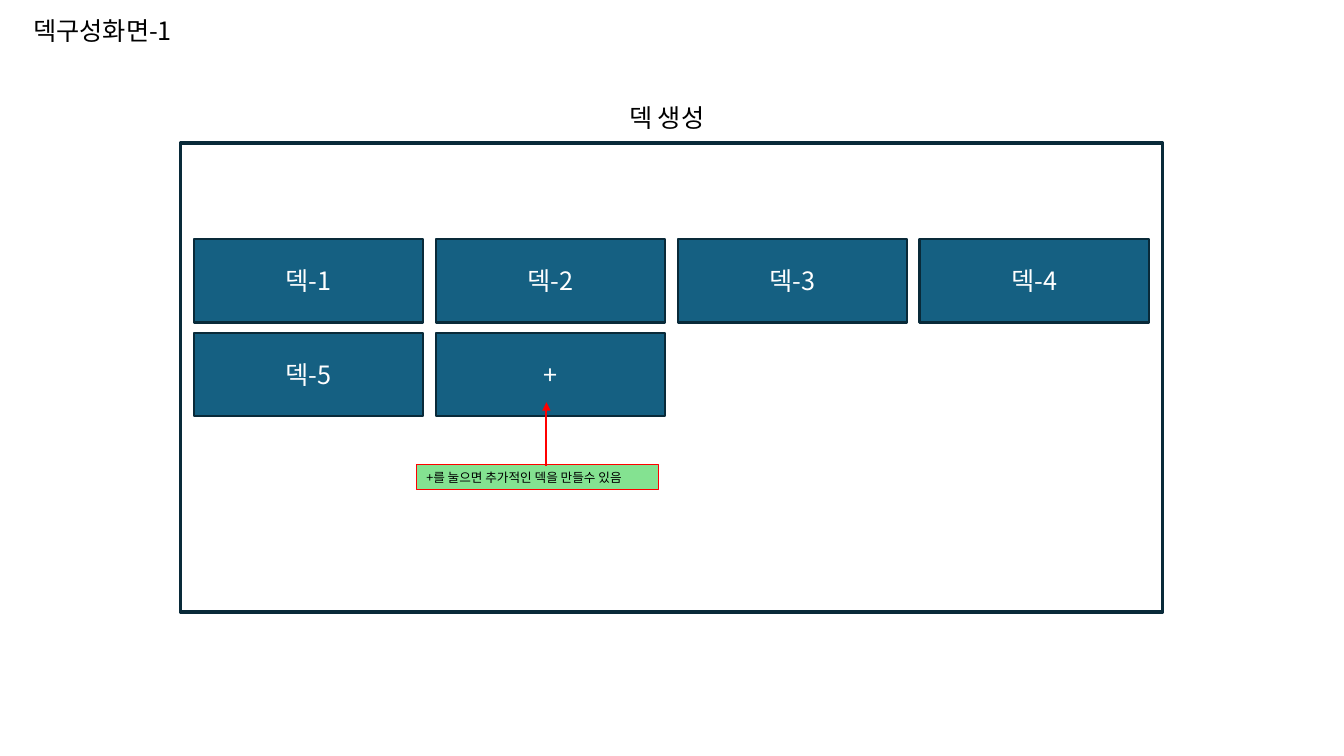
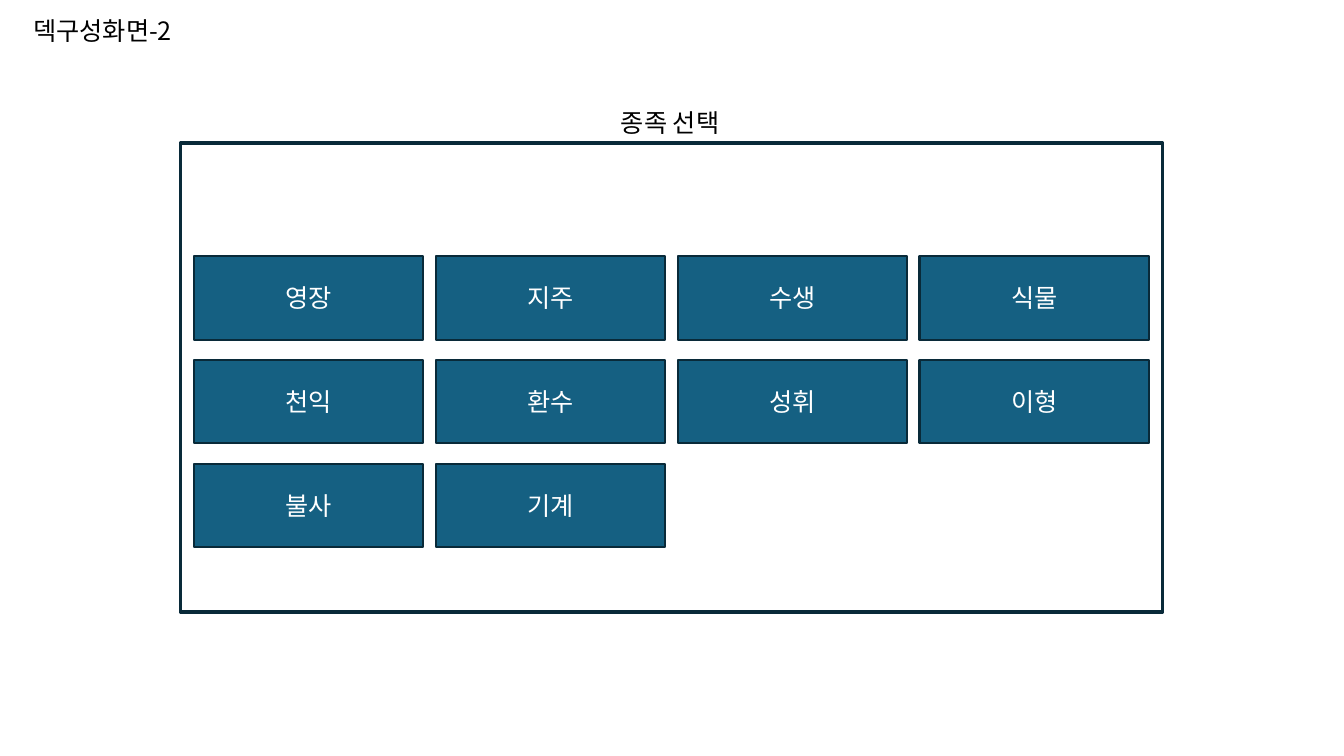
from dataclasses import dataclass

from lxml import etree
from pptx import Presentation
from pptx.dml.color import RGBColor
from pptx.enum.shapes import MSO_CONNECTOR, MSO_SHAPE
from pptx.enum.text import MSO_ANCHOR, MSO_AUTO_SIZE, PP_ALIGN
from pptx.oxml.ns import qn
from pptx.util import Inches, Pt

RECT = MSO_SHAPE.RECTANGLE
STRAIGHT = MSO_CONNECTOR.STRAIGHT
LEFT, CENTER = PP_ALIGN.LEFT, PP_ALIGN.CENTER
TOP, MIDDLE = MSO_ANCHOR.TOP, MSO_ANCHOR.MIDDLE
FIT_SHAPE, NO_FIT = MSO_AUTO_SIZE.SHAPE_TO_FIT_TEXT, MSO_AUTO_SIZE.NONE
TITLE_ONLY = 5


@dataclass(frozen=True)
class Theme:
    font: str = "Noto Sans CJK KR"
    text: str = "000000"
    button: str = "156082"
    button_text: str = "FFFFFF"
    outline: str = "092A39"
    note: str = "84E291"
    accent: str = "FF0000"
    size: float = 18
    note_size: float = 9
    frame_line: float = 2.5
    line: float = 1.5
    note_line: float = 0.75


THEME = Theme()
TITLE_BOX = (0.23, 0.1, 1.71, 0.4)
FRAME_BOX = (1.79, 1.42, 9.74, 4.65)
COLUMNS = 4
GRID_INSET = 0.13
BUTTON_W, BUTTON_H, COLUMN_GAP = 2.28, 0.83, 0.12


def inches(box):
    return [Inches(v) for v in box]


def set_text(shape, text, *, size=THEME.size, color=THEME.text, align=LEFT,
             anchor=TOP, wrap=False, fit=FIT_SHAPE):
    tf = shape.text_frame
    tf.word_wrap = wrap
    tf.auto_size = fit
    tf.vertical_anchor = anchor
    p = tf.paragraphs[0]
    p.alignment = align
    r = p.add_run()
    r.text = text
    r.font.size = Pt(size)
    r.font.name = THEME.font
    r.font.color.rgb = RGBColor.from_string(color)
    ea = etree.SubElement(r.font._element, qn("a:ea"))
    ea.set("typeface", THEME.font)


def add_rect(s, box, *, fill=None, line=THEME.outline, width=THEME.line):
    sp = s.shapes.add_shape(RECT, *inches(box))
    sp.shadow.inherit = False
    if fill:
        sp.fill.solid()
        sp.fill.fore_color.rgb = RGBColor.from_string(fill)
    else:
        sp.fill.background()
    sp.line.color.rgb = RGBColor.from_string(line)
    sp.line.width = Pt(width)
    return sp


def add_arrow(s, start, end):
    arrow = s.shapes.add_connector(STRAIGHT, *inches(start + end))
    arrow.line.color.rgb = RGBColor.from_string(THEME.accent)
    arrow.line.width = Pt(THEME.line)
    tail = etree.SubElement(arrow.line._get_or_add_ln(), qn("a:tailEnd"))
    tail.set("type", "triangle")
    etree.SubElement(arrow._element.spPr, qn("a:effectLst"))


def add_buttons(s, left, top, labels, row_gap):
    """Fill a grid of buttons row by row from its top left corner."""
    for i, label in enumerate(labels):
        row, column = divmod(i, COLUMNS)
        box = (left + column * (BUTTON_W + COLUMN_GAP),
               top + row * (BUTTON_H + row_gap), BUTTON_W, BUTTON_H)
        set_text(add_rect(s, box, fill=THEME.button), label,
                 color=THEME.button_text, align=CENTER, anchor=MIDDLE,
                 wrap=True, fit=NO_FIT)


def add_note(s, box, text, tip):
    """Place a callout whose arrow rises from its top edge to the tip."""
    note = add_rect(s, box, fill=THEME.note, line=THEME.accent,
                    width=THEME.note_line)
    set_text(note, text, size=THEME.note_size)
    add_arrow(s, (tip[0], box[1] + 0.01), tip)


def add_screen(prs, title, heading, heading_box, labels, grid_offset, row_gap):
    """Add a slide with a titled frame holding a grid of buttons."""
    s = prs.slides.add_slide(prs.slide_layouts[TITLE_ONLY])
    title_sp = s.shapes.title
    (title_sp.left, title_sp.top,
     title_sp.width, title_sp.height) = inches(TITLE_BOX)
    set_text(title_sp, title)
    add_rect(s, FRAME_BOX, width=THEME.frame_line)
    set_text(s.shapes.add_textbox(*inches(heading_box)), heading)
    left, top = FRAME_BOX[:2]
    add_buttons(s, left + GRID_INSET, top + grid_offset, labels, row_gap)
    return s


def main():
    prs = Presentation()
    prs.slide_width, prs.slide_height = Inches(13.33), Inches(7.5)

    decks = [f"덱-{n}" for n in range(1, 6)] + ["+"]
    s = add_screen(prs, "덱구성화면-1", "덱 생성", (6.14, 0.97, 1.05, 0.4),
                   decks, grid_offset=0.95, row_gap=0.1)
    add_note(s, (4.13, 4.61, 2.4, 0.25),
             "+를 눌으면 추가적인 덱을 만들수 있음", tip=(5.42, 3.99))

    tribes = ["영장", "지주", "수생", "식물", "천익",
              "환수", "성휘", "이형", "불사", "기계"]
    add_screen(prs, "덱구성화면-2", "종족 선택", (6.06, 1.02, 1.3, 0.4),
               tribes, grid_offset=1.12, row_gap=0.2)

    prs.save("out.pptx")


if __name__ == "__main__":
    main()
